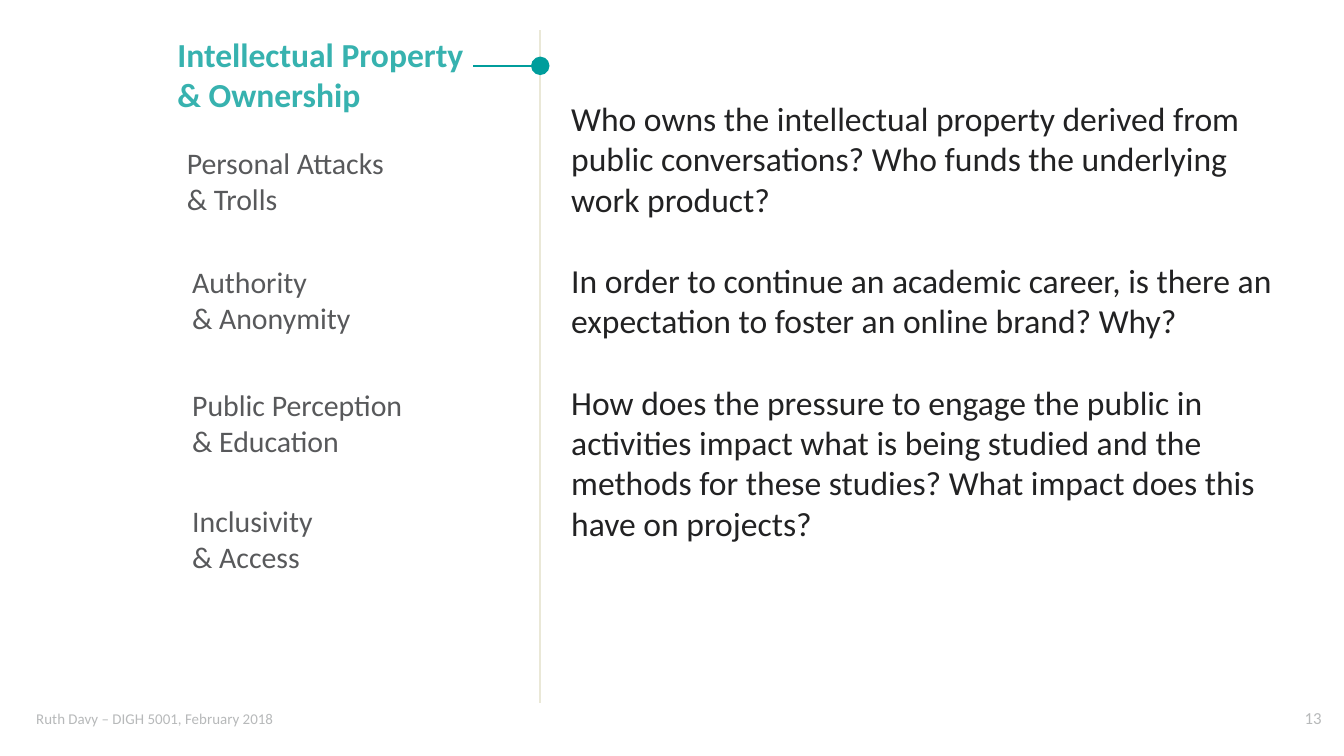
from pptx import Presentation
from pptx.dml.color import RGBColor
from pptx.enum.shapes import MSO_CONNECTOR
from pptx.enum.text import MSO_ANCHOR, MSO_AUTO_SIZE, PP_ALIGN
from pptx.oxml.ns import qn
from pptx.util import Inches, Pt
from lxml.etree import SubElement

COLORS = {
    "title": "37B2AF",
    "topic": "58595B",
    "body": "222223",
    "footer": "B7B9BA",
    "divider": "EAE8D7",
    "pointer": "009D9C",
}

TOPICS = [
    (1.38, 1.08, 1.49, ["Personal Attacks", "& Trolls"]),
    (1.42, 1.96, 1.2, ["Authority", "& Anonymity"]),
    (1.42, 2.88, 1.59, ["Public Perception", "& Education"]),
    (1.42, 3.74, 0.91, ["Inclusivity", "& Access"]),
]

QUESTIONS = [
    "Who owns the intellectual property derived from public conversations? "
    "Who funds the underlying work product?",
    "In order to continue an academic career, is there an expectation to "
    "foster an online brand? Why?",
    "How does the pressure to engage the public in activities impact what is "
    "being studied and the methods for these studies? What impact does this "
    "have on projects?",
]


class SlideBuilder:
    """Holds the text style and the slide being filled."""

    def __init__(self, slide, font="Calibri"):
        self.s = slide
        self.font = font

    def text(self, x, y, w, h, lines, size, color, bold=False, wrap=False,
             gap=0, indent=0, align=PP_ALIGN.LEFT):
        sp = self.s.shapes.add_textbox(Inches(x), Inches(y), Inches(w), Inches(h))
        tf = sp.text_frame
        tf.margin_left = tf.margin_right = tf.margin_top = tf.margin_bottom = 0
        tf.word_wrap = wrap
        tf.auto_size = MSO_AUTO_SIZE.SHAPE_TO_FIT_TEXT
        for i, line in enumerate(lines):
            p = tf.paragraphs[0] if i == 0 else tf.add_paragraph()
            p.text = line
            p.alignment = align
            if indent:
                p._p.get_or_add_pPr().set("marL", str(Inches(indent)))
            if i and gap:
                p.space_before = Pt(gap)
            p.font.name = self.font
            p.font.size = Pt(size)
            p.font.bold = bold
            p.font.color.rgb = RGBColor.from_string(COLORS[color])
        return tf

    def footer(self, x, y, w, h, line, size, align=PP_ALIGN.LEFT):
        tf = self.text(x, y, w, h, [line], size, "footer", align=align)
        tf.auto_size = MSO_AUTO_SIZE.NONE
        tf.vertical_anchor = MSO_ANCHOR.BOTTOM
        tf.paragraphs[0].line_spacing = 0.85

    def line(self, x1, y1, x2, y2, color, dot=False):
        c = self.s.shapes.add_connector(
            MSO_CONNECTOR.STRAIGHT, Inches(x1), Inches(y1), Inches(x2), Inches(y2))
        c.line.color.rgb = RGBColor.from_string(COLORS[color])
        c.line.width = Pt(1)
        if dot:
            SubElement(c.line._get_or_add_ln(), qn("a:tailEnd"),
                       type="oval", w="lg", len="lg")
        SubElement(c._element.spPr, qn("a:effectLst"))


def main():
    prs = Presentation()
    prs.slide_width = Inches(10)
    prs.slide_height = Inches(10) * 9 // 16
    b = SlideBuilder(prs.slides.add_slide(prs.slide_layouts[6]))

    b.footer(0.27, 5.23, 0.76, 0.18, "Ruth Davy – DIGH 5001, February 2018", 8)
    b.footer(9.63, 5.29, 0.28, 0.13, "13", 9, PP_ALIGN.CENTER)
    b.text(1.31, 0.25, 2.21, 0.61, ["Intellectual Property", "& Ownership"],
           18, "title", bold=True, indent=0.01)
    for x, y, w, lines in TOPICS:
        b.text(x, y, w, 0.54, lines, 16, "topic", indent=0.01)
    b.line(4.02, 5.23, 4.02, 0.22, "divider")
    b.line(3.52, 0.49, 4.02, 0.49, "pointer", dot=True)
    b.text(4.25, 0.73, 5.35, 3.33, QUESTIONS, 18, "body", wrap=True, gap=22)

    prs.save("out.pptx")


if __name__ == "__main__":
    main()
